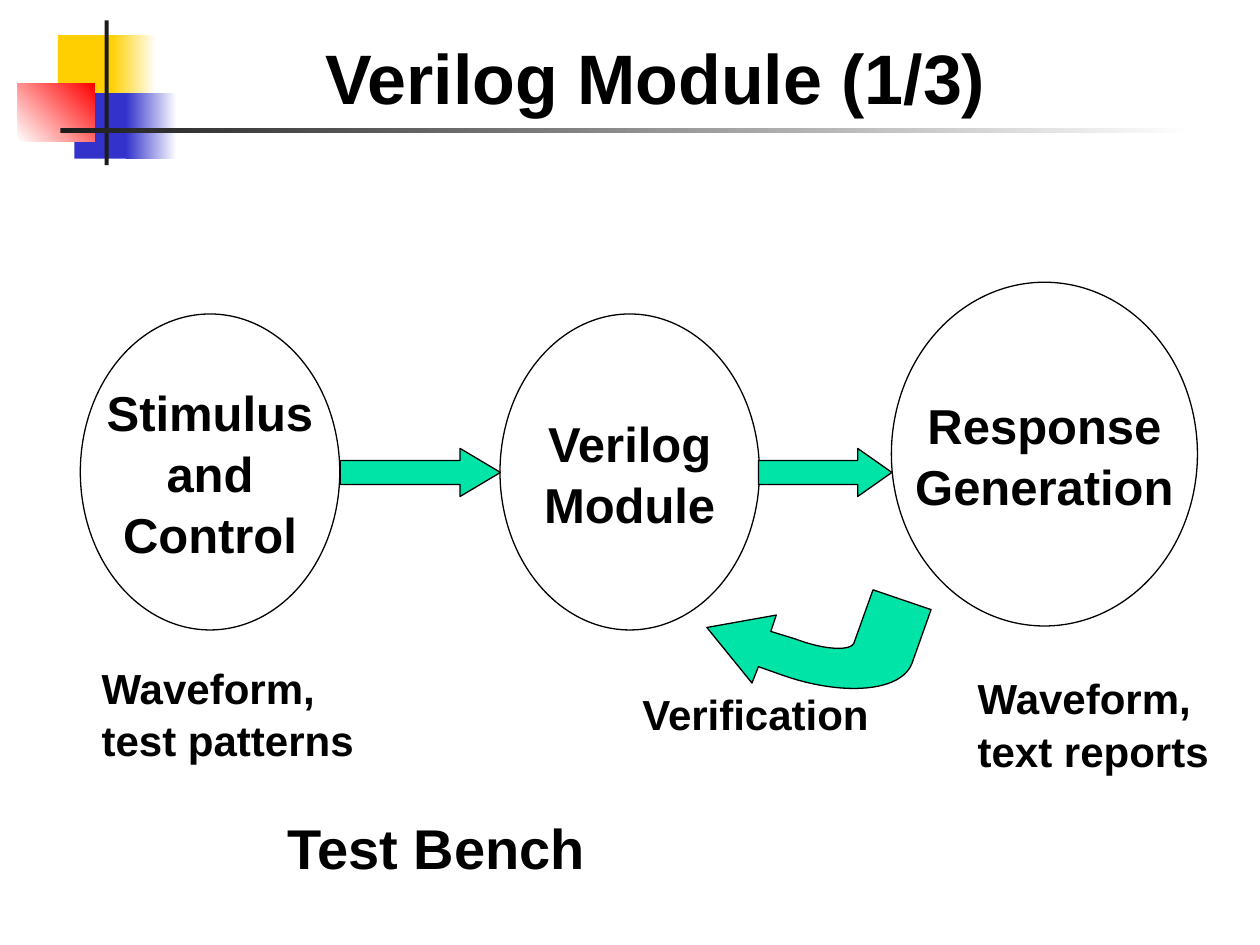
"""Build the Verilog module slide: a test bench drawn as three linked ovals."""
from typing import NamedTuple

from pptx import Presentation
from pptx.dml.color import RGBColor
from pptx.enum.shapes import MSO_SHAPE
from pptx.enum.text import MSO_ANCHOR, MSO_AUTO_SIZE, PP_ALIGN
from pptx.util import Cm, Pt

BLACK, WHITE, GREEN = "000000", "FFFFFF", "00E4A8"
YELLOW, BLUE, RED, CHARCOAL = "FFCF01", "3333CC", "FF0000", "1C1C1C"

Point = tuple[float, float]


class Area(NamedTuple):
    left: float
    top: float
    width: float
    height: float

    def lengths(self) -> list[Cm]:
        return [Cm(value) for value in self]


class Ornament(NamedTuple):
    area: Area
    colors: tuple[str, ...]
    angle: float = 0


class Stage(NamedTuple):
    area: Area
    lines: tuple[str, ...]


class Arrow(NamedTuple):
    area: Area
    head: float


class Label(NamedTuple):
    area: Area
    lines: tuple[str, ...]
    size: float = 24
    wrap: bool = False


ORNAMENTS = [
    Ornament(Area(1.17, 0.71, 1.22, 1.32), (YELLOW,)),
    Ornament(Area(2.24, 0.71, 0.91, 1.32), (YELLOW, WHITE)),
    Ornament(Area(1.5, 1.88, 1.17, 1.32), (BLUE,)),
    Ornament(Area(2.54, 1.88, 1.02, 1.32), (BLUE, WHITE)),
    Ornament(Area(0.36, 1.68, 1.55, 1.17), (WHITE, RED), 45),
    Ornament(Area(2.11, 0.41, 0.08, 2.92), (CHARCOAL,)),
    Ornament(Area(1.22, 2.59, 22.86, 0.1), (CHARCOAL, WHITE)),
]
STAGES = [
    Stage(Area(1.62, 6.33, 5.23, 6.37), ("Stimulus", "and", "Control")),
    Stage(Area(10.08, 6.33, 5.23, 6.37), ("Verilog", "Module")),
    Stage(Area(17.97, 5.69, 6.17, 6.93), ("Response", "Generation")),
]
ARROWS = [
    Arrow(Area(6.86, 9.04, 3.23, 0.97), 0.84),
    Arrow(Area(15.29, 9.04, 2.69, 0.97), 0.71),
]
LABELS = [
    Label(Area(1.8, 13.18, 5.59, 2.29), ("Waveform,", "test patterns")),
    Label(Area(19.46, 13.39, 5.16, 2.29), ("Waveform,", "text reports")),
    Label(Area(12.7, 13.72, 5.11, 1.27), ("Verification",)),
    Label(Area(5.54, 16.21, 9.55, 1.63), ("Test Bench",), 32, True),
]
TITLE_AREA = Area(2.29, -0.28, 21.84, 2.79)
RETURN_HEAD = [(14.25, 12.65), (15.16, 13.77), (15.29, 13.44), (15.77, 13.61)]
OUTER_BEND = [(15.77, 13.61), (17.02, 14.05), (18.19, 13.94), (18.39, 13.36)]
RETURN_TAIL = [(18.77, 12.29), (17.6, 11.89), (17.22, 12.95)]
INNER_BEND = [(17.22, 12.95), (17.17, 13.13), (16.64, 13.11), (16.03, 12.88)]
RETURN_BARB = [(15.54, 12.73), (15.65, 12.4)]


def color(value: str) -> RGBColor:
    """Turn a hex string into a colour."""
    return RGBColor.from_string(value)


def apply(target, formats: dict) -> None:
    """Set each named attribute on the target."""
    for name, value in formats.items():
        setattr(target, name, value)


def paint(shape, fill: str, outlined: bool = True) -> None:
    """Give a shape a flat fill and a thin black line or none."""
    shape.shadow.inherit = False
    shape.fill.solid()
    shape.fill.fore_color.rgb = color(fill)
    if outlined:
        shape.line.color.rgb = color(BLACK)
        shape.line.width = Pt(0.75)
    else:
        shape.line.fill.background()


def write(shape, lines: tuple[str, ...], size: float, frame_formats: dict,
          alignment: PP_ALIGN, spacing: float = 1.04) -> None:
    """Write bold black lines, one paragraph each."""
    frame = shape.text_frame
    margins = {"margin_left": Cm(0.25), "margin_right": Cm(0.25),
               "margin_top": Cm(0.13), "margin_bottom": Cm(0.13)}
    apply(frame, margins | frame_formats)
    for index, line in enumerate(lines):
        para = frame.add_paragraph() if index else frame.paragraphs[0]
        apply(para, {"alignment": alignment, "line_spacing": spacing})
        span = para.add_run()
        span.text = line
        apply(span.font, {"name": "Arial", "size": Pt(size), "bold": True})
        span.font.color.rgb = color(BLACK)


def draw_ornament(page, ornament: Ornament) -> None:
    """Draw one flat or fading block of the header."""
    block = page.shapes.add_shape(MSO_SHAPE.RECTANGLE, *ornament.area.lengths())
    paint(block, ornament.colors[0], outlined=False)
    if len(ornament.colors) > 1:
        block.fill.gradient()
        block.fill.gradient_angle = ornament.angle
        for stop, value in zip(block.fill.gradient_stops, ornament.colors):
            stop.color.rgb = color(value)


def draw_title(page) -> None:
    """Place the title over the header."""
    title = page.shapes.title
    apply(title, dict(zip(("left", "top", "width", "height"), TITLE_AREA.lengths())))
    formats = {"vertical_anchor": MSO_ANCHOR.BOTTOM, "word_wrap": True,
               "auto_size": MSO_AUTO_SIZE.NONE}
    write(title, ("Verilog Module (1/3)",), 40, formats, PP_ALIGN.CENTER, 1.0)


def draw_label(page, label: Label) -> None:
    """Draw a free-standing caption."""
    box = page.shapes.add_textbox(*label.area.lengths())
    formats = {"word_wrap": label.wrap, "auto_size": MSO_AUTO_SIZE.SHAPE_TO_FIT_TEXT}
    write(box, label.lines, label.size, formats, PP_ALIGN.LEFT)


def draw_stage(page, stage: Stage) -> None:
    """Draw one oval of the test bench."""
    oval = page.shapes.add_shape(MSO_SHAPE.OVAL, *stage.area.lengths())
    paint(oval, WHITE)
    formats = {"vertical_anchor": MSO_ANCHOR.MIDDLE, "word_wrap": False}
    write(oval, stage.lines, 28, formats, PP_ALIGN.CENTER)


def draw_arrow(page, arrow: Arrow) -> None:
    """Draw a block arrow between two ovals."""
    block = page.shapes.add_shape(MSO_SHAPE.RIGHT_ARROW, *arrow.area.lengths())
    block.adjustments[1] = arrow.head
    paint(block, GREEN)


def bend(controls: list[Point], steps: int = 24) -> list[Point]:
    """Sample a cubic curve after its first point."""
    points = []
    for step in range(1, steps + 1):
        t = step / steps
        weights = ((1 - t) ** 3, 3 * t * (1 - t) ** 2, 3 * t * t * (1 - t), t ** 3)
        points.append(tuple(sum(weight * value for weight, value in zip(weights, axis))
                            for axis in zip(*controls)))
    return points


def draw_return_arrow(page) -> None:
    """Draw the curved arrow leading back to the module."""
    outline = RETURN_HEAD + bend(OUTER_BEND) + RETURN_TAIL + bend(INNER_BEND) + RETURN_BARB
    start, *rest = [(Cm(x), Cm(y)) for x, y in outline]
    builder = page.shapes.build_freeform(*start)
    builder.add_line_segments(rest, close=True)
    paint(builder.convert_to_shape(), GREEN)


def main() -> None:
    """Build and save the deck."""
    deck = Presentation()
    apply(deck, {"slide_width": Cm(25.4), "slide_height": Cm(19.05)})
    page = deck.slides.add_slide(deck.slide_layouts[5])
    draw_title(page)
    for draw, items in ((draw_ornament, ORNAMENTS), (draw_stage, STAGES),
                        (draw_arrow, ARROWS)):
        for item in items:
            draw(page, item)
    draw_return_arrow(page)
    for label in LABELS:
        draw_label(page, label)
    deck.save("out.pptx")


if __name__ == "__main__":
    main()
